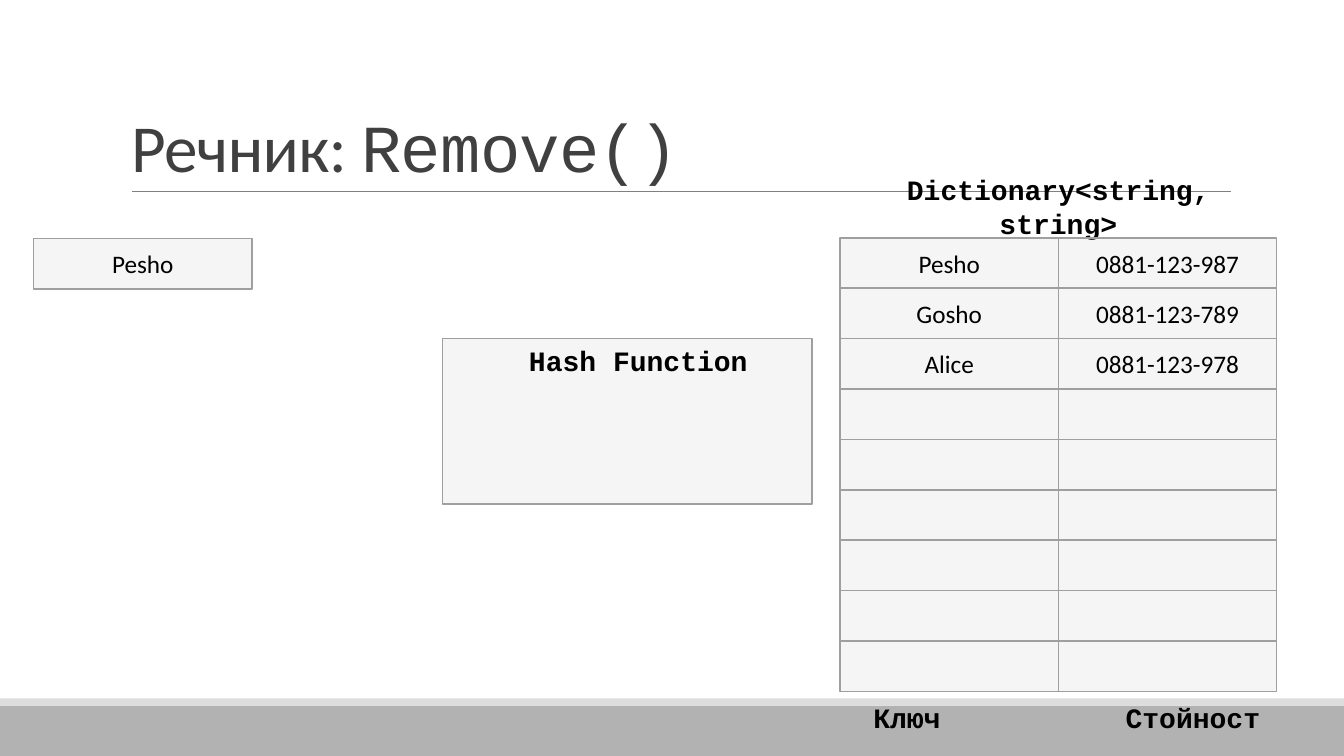
import pptx
import pptx.util
import pptx.dml.color
import pptx.enum.shapes
import pptx.enum.text
import pptx.oxml
import pptx.oxml.ns

RGBColor = pptx.dml.color.RGBColor
BLACK = RGBColor(0x00, 0x00, 0x00)
INK = RGBColor(0x40, 0x40, 0x40)
RULE = RGBColor(0x80, 0x80, 0x80)
EDGE = RGBColor(0x9F, 0x9F, 0x9F)
PALE = RGBColor(0xBF, 0xBF, 0xBF)
BAND = RGBColor(0xB2, 0xB2, 0xB2)
STRIPE = RGBColor(0xDD, 0xDD, 0xDD)

SANS, MONO = "Calibri", "Courier New"
UNIT = 7.5 / 45  # the slide is a grid of 80 columns by 45 rows
CELL_COLS, CELL_ROWS = 13, 3
DICT_COL, DICT_ROW = 50, 14.16
ENTRIES = [
    ("Pesho", "0881-123-987"),
    ("Gosho", "0881-123-789"),
    ("Alice", "0881-123-978"),
] + [("", "")] * 6


def grid(*units):
    """Turn grid units into lengths on the slide."""
    return [pptx.util.Inches(unit * UNIT) for unit in units]


def add_xml(parent, tag, **attrs):
    child = parent.makeelement(pptx.oxml.ns.qn(tag), attrs)
    parent.append(child)
    return child


class Board:
    def __init__(self, deck):
        self.slide = deck.slides.add_slide(deck.slide_layouts[5])
        self.shapes = self.slide.shapes

    def style(self, run, font, size, color=BLACK, bold=False):
        run.font.name = font
        run.font.size = pptx.util.Pt(size)
        run.font.color.rgb = color
        run.font.bold = bold

    def title(self, words, code, *place):
        box = self.shapes.title
        box.left, box.top, box.width, box.height = grid(*place)
        frame = box.text_frame
        frame.vertical_anchor = pptx.enum.text.MSO_ANCHOR.BOTTOM
        frame.auto_size = pptx.enum.text.MSO_AUTO_SIZE.NONE
        line = frame.paragraphs[0]
        line.text = words
        line.alignment = pptx.enum.text.PP_ALIGN.LEFT
        line.line_spacing = 0.85
        line.add_run().text = code
        for run, font in zip(line.runs, (SANS, MONO)):
            self.style(run, font, 48, INK)
            run.font._element.set("spc", "-50")

    def rect(self, color, *place):
        box = self.shapes.add_shape(
            pptx.enum.shapes.MSO_SHAPE.RECTANGLE, *grid(*place))
        box.shadow.inherit = False
        box.fill.solid()
        box.fill.fore_color.rgb = color
        return box

    def bar(self, color, *place):
        self.rect(color, *place).line.fill.background()

    def rule(self, *ends):
        line = self.shapes.add_connector(
            pptx.enum.shapes.MSO_CONNECTOR.STRAIGHT, *grid(*ends))
        line.line.color.rgb = RULE
        line.line.width = pptx.util.Pt(0.5)
        add_xml(line._element.spPr, "a:effectLst")

    def panel(self, text, *place):
        """Draw an outlined box filled at 15 % opacity."""
        box = self.rect(PALE, *place)
        color = box._element.spPr.find(pptx.oxml.ns.qn("a:solidFill"))[0]
        add_xml(color, "a:alpha", val="15000")
        box.line.color.rgb = EDGE
        box.line.width = pptx.util.Pt(1)
        if text:
            frame = box.text_frame
            frame.word_wrap = True
            frame.vertical_anchor = pptx.enum.text.MSO_ANCHOR.MIDDLE
            self.label(frame, text, SANS, 18)

    def label(self, frame, text, font, size, bold=False):
        frame.text = text
        line = frame.paragraphs[0]
        line.alignment = pptx.enum.text.PP_ALIGN.CENTER
        for run in line.runs:
            self.style(run, font, size, bold=bold)

    def note(self, text, *place):
        frame = self.shapes.add_textbox(*grid(*place)).text_frame
        frame.word_wrap = True
        self.label(frame, text, MONO, 20, True)
        return frame

    def heads(self, text, start, stop, *place):
        """Write column names, the second one at a tab stop."""
        frame = self.note(text, *place)
        frame.margin_left, offset = grid(start, stop - start)
        line = frame.paragraphs[0]
        line.alignment = pptx.enum.text.PP_ALIGN.LEFT
        tabs = add_xml(line._p.get_or_add_pPr(), "a:tabLst")
        add_xml(tabs, "a:tab", pos=str(int(offset)), algn="l")

    def cells(self, rows, left, top):
        for r, row in enumerate(rows):
            for c, text in enumerate(row):
                self.panel(text, left + c * CELL_COLS, top + r * CELL_ROWS,
                           CELL_COLS, CELL_ROWS)


def main():
    deck = pptx.Presentation()
    deck.slide_width, deck.slide_height = grid(80, 45)
    board = Board(deck)
    board.bar(BAND, 0, 42, 80, 3)
    board.bar(STRIPE, 0, 41.58, 80, 0.42)
    board.rule(7.86, 11.4, 73.26, 11.4)
    board.title("Речник: ", "Remove()", 7.2, 1.86, 66, 9.54)
    board.note("Dictionary<string, string>", DICT_COL, 10, 26, 2.64)
    board.heads("Ключ\tСтойност", 1.98, 17, DICT_COL, 41.4, 26, 2.64)
    board.panel("", 26.34, 20.16, 22, 9.84)
    board.note("Hash Function", 29, 20.16, 18, 4.62)
    board.panel("Pesho", 2, 14.2, CELL_COLS, CELL_ROWS)
    board.cells(ENTRIES, DICT_COL, DICT_ROW)
    deck.save("out.pptx")


if __name__ == "__main__":
    main()
